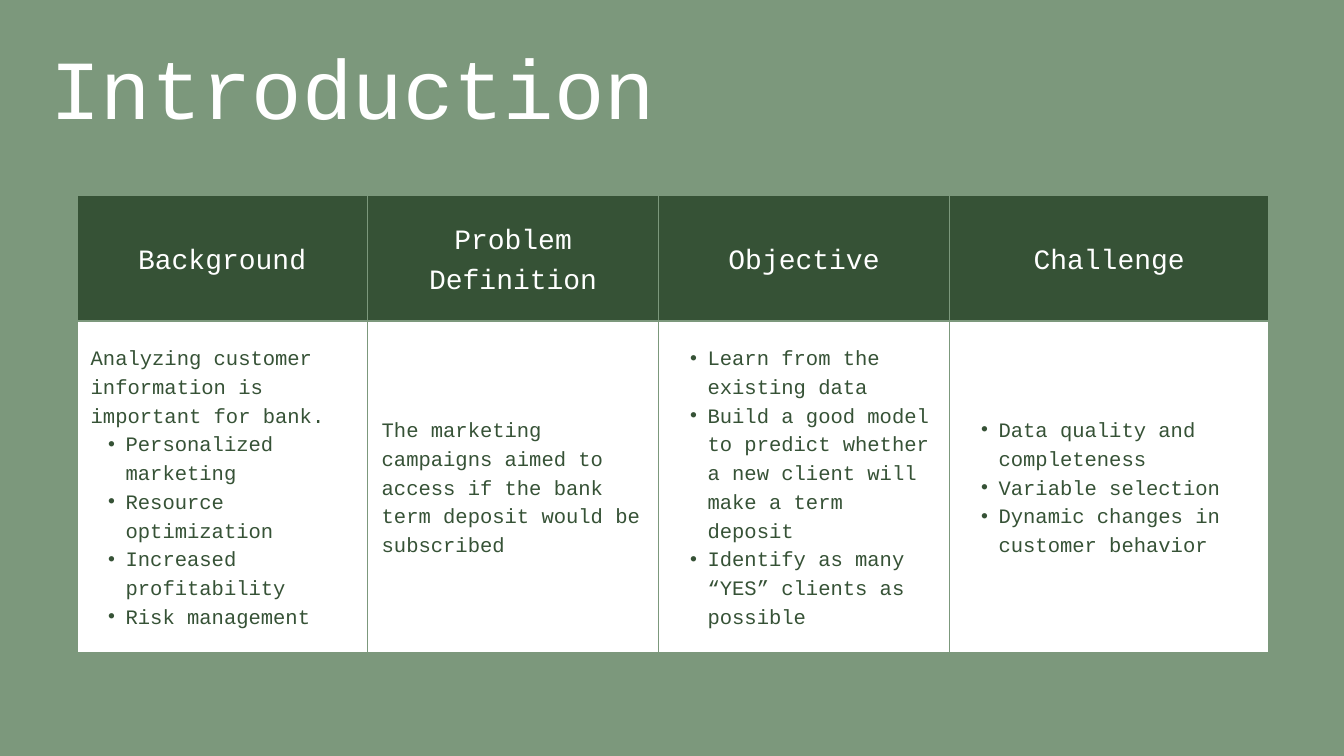
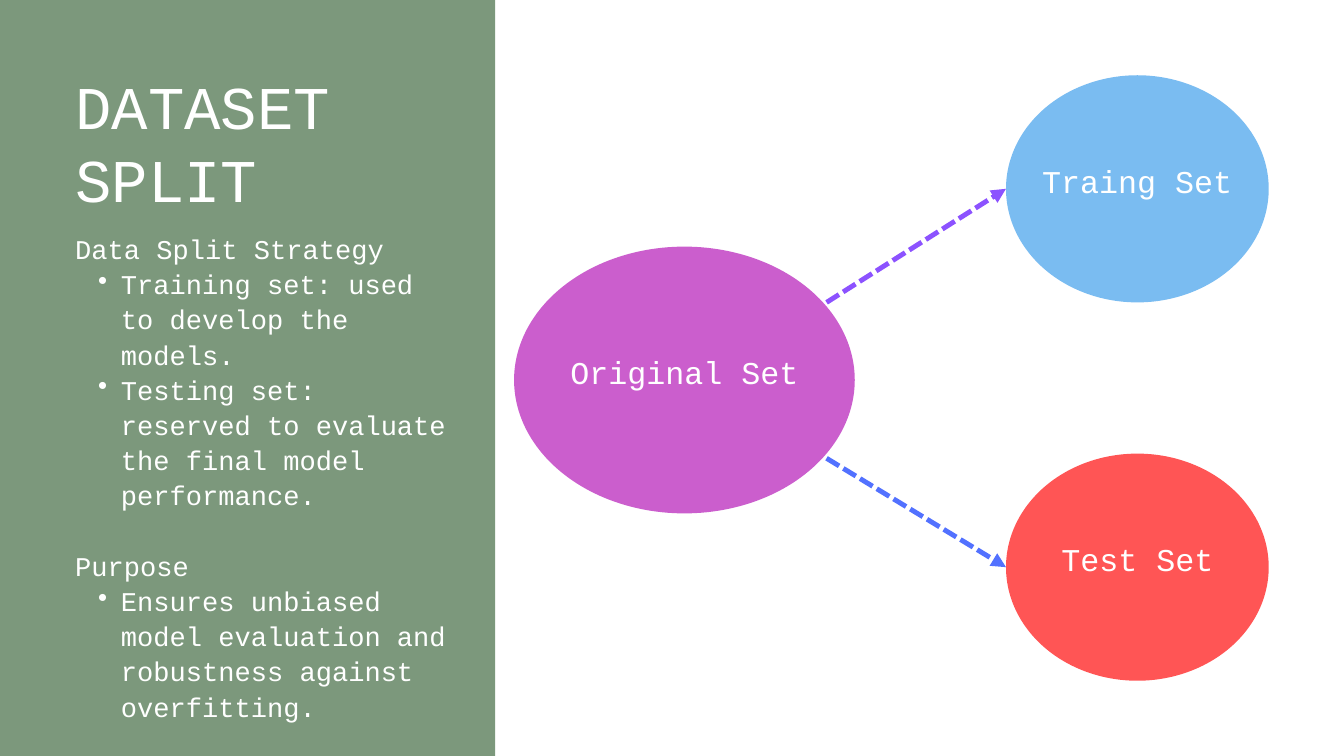
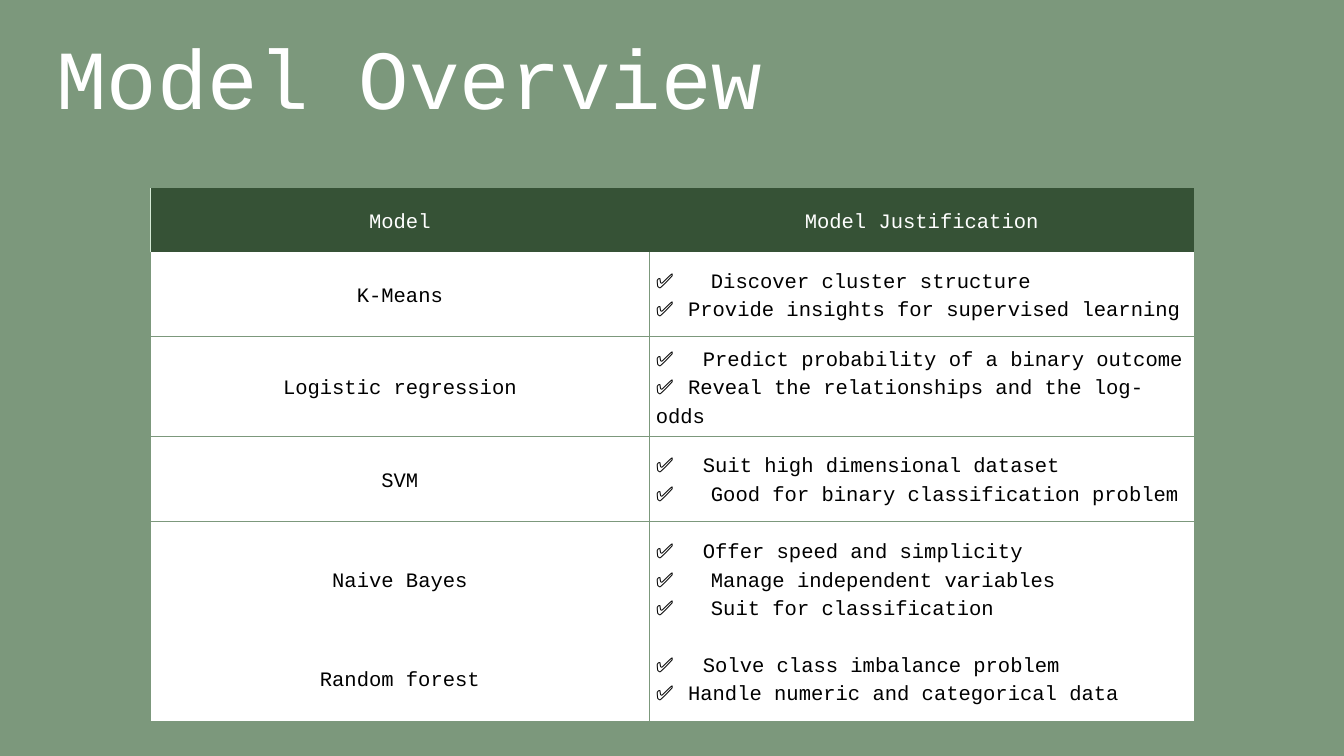
"""Build three slides on a bank marketing study: introduction, dataset split and model overview."""
from dataclasses import dataclass
from typing import NamedTuple, Optional, Sequence

from lxml.etree import SubElement
from pptx import Presentation
from pptx.dml.color import RGBColor
from pptx.enum.dml import MSO_LINE
from pptx.enum.shapes import MSO_CONNECTOR, MSO_SHAPE
from pptx.enum.text import MSO_ANCHOR, MSO_AUTO_SIZE, PP_ALIGN
from pptx.oxml.ns import qn
from pptx.util import Inches, Pt


class TextStyle(NamedTuple):
    """Size, exact line height, colour, alignment and bullet indent of a text."""
    size: float
    leading: float
    color: RGBColor
    align: PP_ALIGN = PP_ALIGN.LEFT
    indent: float = 0


@dataclass(frozen=True)
class Theme:
    """Colours, fonts and type styles shared by the slides."""
    sage = RGBColor(0x7C, 0x98, 0x7C)
    forest = RGBColor(0x36, 0x52, 0x36)
    mint = RGBColor(0xD6, 0xEA, 0xD6)
    white = RGBColor(0xFF, 0xFF, 0xFF)
    black = RGBColor(0, 0, 0)
    orchid = RGBColor(0xCB, 0x5E, 0xCD)
    sky = RGBColor(0x7A, 0xBC, 0xF1)
    coral = RGBColor(0xFF, 0x55, 0x55)
    violet = RGBColor(0x8C, 0x52, 0xFF)
    blue = RGBColor(0x52, 0x71, 0xFF)
    font = "Courier New"
    check_font = "Calibri"
    title = TextStyle(90, 108, white)
    side_title = TextStyle(65, 78, white)
    side_text = TextStyle(29, 37.7, white, indent=0.34)
    set_label = TextStyle(34, 40.8, white, PP_ALIGN.CENTER)
    topic_head = TextStyle(30, 42, white, PP_ALIGN.CENTER)
    topic_text = TextStyle(22, 30.8, forest, indent=0.26)
    model_head = TextStyle(22, 30.8, white, PP_ALIGN.CENTER)
    model_name = TextStyle(22, 30.8, black, PP_ALIGN.CENTER)
    reason = TextStyle(22, 30.8, black)


THEME = Theme()


class CheckGap(NamedTuple):
    """Font of a check mark and the distance at which its text starts."""
    font: str
    stop: float


NARROW = CheckGap(THEME.check_font, 0.48)
MEDIUM = CheckGap(THEME.check_font, 0.7)
WIDE = CheckGap(THEME.font, 0.82)


@dataclass(frozen=True)
class Line:
    """A paragraph with an optional bullet, check mark or space before."""
    text: str
    bullet: bool = False
    check: Optional[CheckGap] = None
    before: float = 0


class Border(NamedTuple):
    """Colour and width in points of a cell edge."""
    color: RGBColor
    width: float


class Topic(NamedTuple):
    """A column of the introduction table."""
    heading: Sequence[Line]
    body: Sequence[Line]
    width: float


class Model(NamedTuple):
    """A row of the model table."""
    name: str
    reasons: Sequence[Line]
    height: float
    ruled: bool = False


class DataSet(NamedTuple):
    """An ellipse that stands for a set of data."""
    label: str
    box: tuple
    color: RGBColor


class SplitArrow(NamedTuple):
    """A dashed arrow between two sets."""
    start: tuple
    end: tuple
    color: RGBColor


def bullets(*texts: str) -> list:
    """Return one bulleted line per text."""
    return [Line(text, bullet=True) for text in texts]


TOPICS = [
    Topic([Line("Background")],
          [Line("Analyzing customer information is important for bank."),
           *bullets("Personalized marketing", "Resource optimization",
                    "Increased profitability", "Risk management")], 4.33),
    Topic([Line("Problem"), Line("Definition")],
          [Line("The marketing campaigns aimed to access if the bank "
                "term deposit would be subscribed")], 4.33),
    Topic([Line("Objective")],
          bullets("Learn from the existing data",
                  "Build a good model to predict whether a new client will make a term deposit",
                  "Identify as many “YES” clients as possible"), 4.33),
    Topic([Line("Challenge")],
          bullets("Data quality and completeness", "Variable selection",
                  "Dynamic changes in customer behavior"), 4.75),
]

STRATEGY = [
    Line("Data Split Strategy"),
    *bullets("Training set: used to develop the models.",
             "Testing set: reserved to evaluate the final model performance."),
    Line("Purpose", before=THEME.side_text.leading),
    *bullets("Ensures unbiased model evaluation and robustness against overfitting."),
]

DATA_SETS = [
    DataSet("Original Set", (7.65, 3.67, 5.07, 3.97), THEME.orchid),
    DataSet("Test Set", (14.97, 6.75, 3.91, 3.38), THEME.coral),
    DataSet("Traing Set", (14.97, 1.12, 3.91, 3.38), THEME.sky),
]

SPLIT_ARROWS = [
    SplitArrow((12.3, 4.5), (14.97, 2.81), THEME.violet),
    SplitArrow((12.3, 6.82), (14.97, 8.44), THEME.blue),
]

MODELS = [
    Model("K-Means", [Line("Discover cluster structure", check=WIDE),
                      Line("Provide insights for supervised learning", check=NARROW)],
          1.26, ruled=True),
    Model("Logistic regression",
          [Line("Predict probability of a binary outcome", check=MEDIUM),
           Line("Reveal the relationships and the log-odds", check=NARROW)],
          1.27, ruled=True),
    Model("SVM", [Line("Suit high dimensional dataset", check=MEDIUM),
                  Line("Good for binary classification problem", check=WIDE)],
          1.27, ruled=True),
    Model("Naive Bayes", [Line("Offer speed and simplicity", check=MEDIUM),
                          Line("Manage independent variables", check=WIDE),
                          Line("Suit for classification", check=WIDE)], 1.7),
    Model("Random forest", [Line("Solve class imbalance problem", check=MEDIUM),
                            Line("Handle numeric and categorical data", check=NARROW)], 1.26),
]


def inches(values: Sequence[float]) -> list:
    """Convert numbers to lengths."""
    return [Inches(value) for value in values]


def add_slide(deck, background: RGBColor):
    """Add a blank slide with a plain background."""
    slide = deck.slides.add_slide(deck.slide_layouts[6])
    slide.background.fill.solid()
    slide.background.fill.fore_color.rgb = background
    return slide


def set_insets(holder, inset: float) -> None:
    """Give a cell or text frame the same margin on each side."""
    holder.margin_left = holder.margin_right = Inches(inset)
    holder.margin_top = holder.margin_bottom = Inches(inset)


def add_marks(paragraph, line: Line, style: TextStyle) -> None:
    """Add the bullet or the tab stop that a line asks for."""
    properties = paragraph._p.get_or_add_pPr()
    if line.bullet:
        paragraph.level = 1
        properties.set("marL", str(Inches(2 * style.indent)))
        properties.set("indent", str(-Inches(style.indent)))
        SubElement(properties, qn("a:buChar"), char="•")
    if line.check:
        stops = SubElement(properties, qn("a:tabLst"))
        SubElement(stops, qn("a:tab"), pos=str(Inches(line.check.stop)), algn="l")


def write(frame, lines: Sequence[Line], style: TextStyle) -> None:
    """Write styled lines into a text frame."""
    for index, line in enumerate(lines):
        paragraph = frame.paragraphs[0] if index == 0 else frame.add_paragraph()
        add_marks(paragraph, line, style)
        paragraph.text = "✅\t" if line.check else line.text
        if line.check:
            paragraph.add_run().text = line.text
        paragraph.alignment = style.align
        paragraph.line_spacing = Pt(style.leading)
        if line.before:
            paragraph.space_before = Pt(line.before)
        for run in paragraph.runs:
            run.font.size = Pt(style.size)
            run.font.name = THEME.font
            run.font.color.rgb = style.color
        if line.check:
            paragraph.runs[0].font.name = line.check.font


def add_text(slide, box: tuple, lines: Sequence[Line], style: TextStyle) -> None:
    """Add a wrapping text box without margins."""
    frame = slide.shapes.add_textbox(*inches(box)).text_frame
    frame.word_wrap = True
    frame.auto_size = MSO_AUTO_SIZE.SHAPE_TO_FIT_TEXT
    set_insets(frame, 0)
    write(frame, lines, style)


def add_solid(slide, preset: MSO_SHAPE, box: tuple, color: RGBColor):
    """Add a flat shape without outline or shadow."""
    shape = slide.shapes.add_shape(preset, *inches(box))
    shape.shadow.inherit = False
    shape.fill.solid()
    shape.fill.fore_color.rgb = color
    shape.line.fill.background()
    return shape


def add_data_set(slide, data_set: DataSet) -> None:
    """Draw a data set with its label slightly above the middle."""
    frame = add_solid(slide, MSO_SHAPE.OVAL, data_set.box, data_set.color).text_frame
    frame.word_wrap = False
    frame.vertical_anchor = MSO_ANCHOR.MIDDLE
    set_insets(frame, 0)
    frame.margin_bottom = Inches(0.24)
    write(frame, [Line(data_set.label)], THEME.set_label)


def add_split_arrow(slide, arrow: SplitArrow) -> None:
    """Draw a dashed arrow."""
    connector = slide.shapes.add_connector(
        MSO_CONNECTOR.STRAIGHT, *inches(arrow.start + arrow.end))
    connector.line.color.rgb = arrow.color
    connector.line.width = Pt(5.25)
    connector.line.dash_style = MSO_LINE.SQUARE_DOT
    SubElement(connector.line._get_or_add_ln(), qn("a:tailEnd"), type="triangle")
    SubElement(connector._element.spPr, qn("a:effectLst"))


def add_grid(slide, corner: tuple, widths: Sequence[float], heights: Sequence[float]):
    """Add a table without banding and with the given columns and rows."""
    box = inches((*corner, sum(widths), sum(heights)))
    table = slide.shapes.add_table(len(heights), len(widths), *box).table
    table.first_row = table.horz_banding = False
    for column, width in zip(table.columns, widths):
        column.width = Inches(width)
    for row, height in zip(table.rows, heights):
        row.height = Inches(height)
    return table


def set_borders(cell, left: Optional[Border] = None, right: Optional[Border] = None,
                top: Optional[Border] = None, bottom: Optional[Border] = None) -> None:
    """Draw the given cell edges and clear the others."""
    properties = cell._tc.get_or_add_tcPr()
    edges = {"a:lnL": left, "a:lnR": right, "a:lnT": top, "a:lnB": bottom}
    for position, (tag, border) in enumerate(edges.items()):
        edge = SubElement(properties, qn(tag), w=str(Pt(border.width) if border else 0))
        if border:
            fill = SubElement(edge, qn("a:solidFill"))
            SubElement(fill, qn("a:srgbClr"), val=str(border.color))
        else:
            SubElement(edge, qn("a:noFill"))
        properties.insert(position, edge)


def fill_cell(cell, lines: Sequence[Line], style: TextStyle, fill: RGBColor,
              inset: float) -> None:
    """Fill a cell with colour and text."""
    cell.fill.solid()
    cell.fill.fore_color.rgb = fill
    cell.vertical_anchor = MSO_ANCHOR.MIDDLE
    set_insets(cell, inset)
    write(cell.text_frame, lines, style)


def build_introduction(deck) -> None:
    """Build the slide with the four topics."""
    slide = add_slide(deck, THEME.sage)
    table = add_grid(slide, (1.14, 2.91), [topic.width for topic in TOPICS], [1.87, 4.93])
    rule = Border(THEME.sage, 2.25)
    for column, topic in enumerate(TOPICS):
        heading, body = table.cell(0, column), table.cell(1, column)
        fill_cell(heading, topic.heading, THEME.topic_head, THEME.forest, 0.21)
        fill_cell(body, topic.body, THEME.topic_text, THEME.white, 0.21)
        for cell in (heading, body):
            set_borders(cell, rule, rule, rule, rule)
    add_text(slide, (0.75, 0.53, 11.26, 1.66), [Line("Introduction")], THEME.title)


def build_dataset_split(deck) -> None:
    """Build the slide that splits the data in two."""
    slide = add_slide(deck, THEME.white)
    add_solid(slide, MSO_SHAPE.RECTANGLE, (0, 0, 7.37, 11.25), THEME.sage)
    add_text(slide, (1.12, 1.02, 5.53, 2.25), [Line("DATASET SPLIT")], THEME.side_title)
    add_text(slide, (1.12, 3.42, 5.73, 6.8), STRATEGY, THEME.side_text)
    for data_set in DATA_SETS:
        add_data_set(slide, data_set)
    for arrow in SPLIT_ARROWS:
        add_split_arrow(slide, arrow)


def build_model_overview(deck) -> None:
    """Build the slide that justifies each model."""
    slide = add_slide(deck, THEME.sage)
    heights = [0.95, *(model.height for model in MODELS)]
    table = add_grid(slide, (2.24, 2.8), [7.42, 8.11], heights)
    rule = Border(THEME.sage, 1.5)
    for column, heading in enumerate(("Model", "Model Justification")):
        cell = table.cell(0, column)
        fill_cell(cell, [Line(heading)], THEME.model_head, THEME.forest, 0.1)
        set_borders(cell, left=None if column else Border(THEME.mint, 0.75))
    top = None
    for row, model in enumerate(MODELS, start=1):
        name, reasons = table.cell(row, 0), table.cell(row, 1)
        bottom = rule if model.ruled else None
        fill_cell(name, [Line(model.name)], THEME.model_name, THEME.white, 0.1)
        fill_cell(reasons, model.reasons, THEME.reason, THEME.white, 0.1)
        set_borders(name, None, rule, top, bottom)
        set_borders(reasons, rule, rule, top, bottom)
        top = bottom
    add_text(slide, (0.84, 0.38, 12.28, 1.66), [Line("Model Overview")], THEME.title)


def main() -> None:
    """Build and save the presentation."""
    deck = Presentation()
    deck.slide_width, deck.slide_height = Inches(20), Inches(11.25)
    build_introduction(deck)
    build_dataset_split(deck)
    build_model_overview(deck)
    deck.save("out.pptx")


if __name__ == "__main__":
    main()
